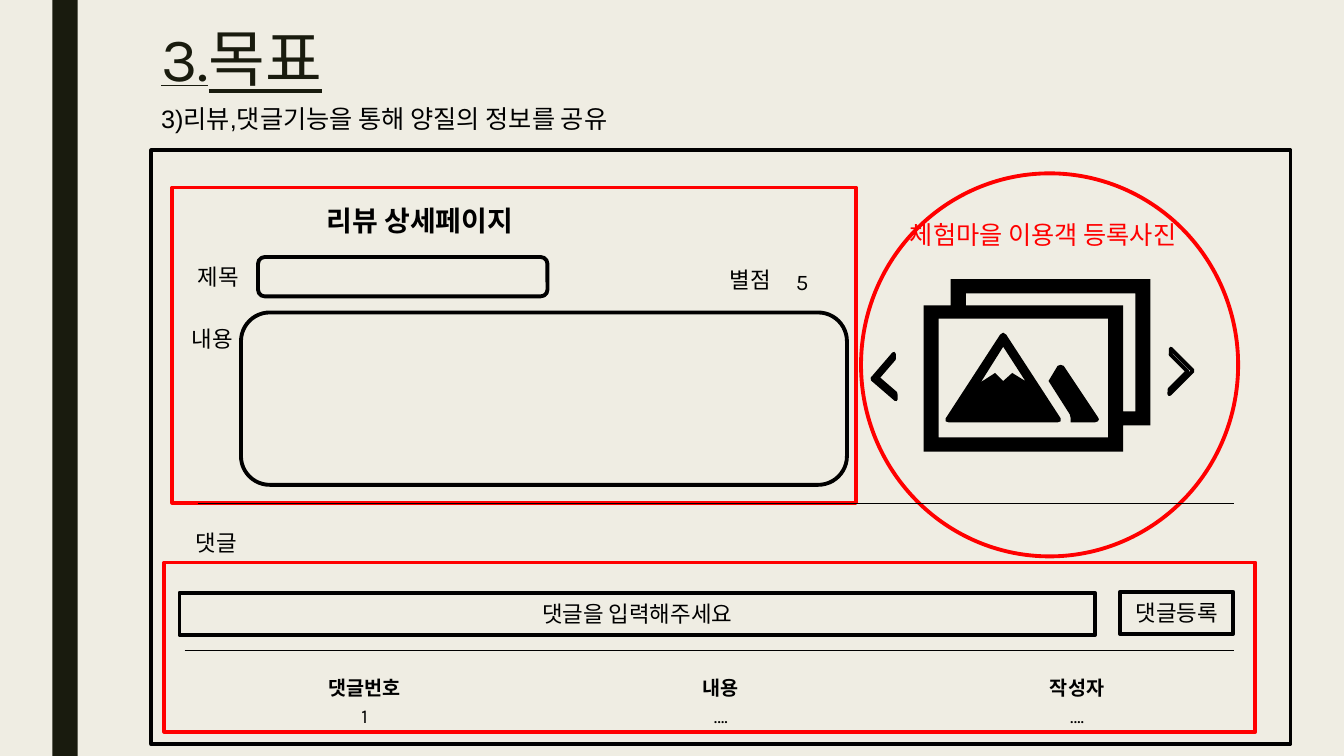
from lxml.etree import SubElement
from pptx import Presentation
from pptx.dml.color import RGBColor
from pptx.enum.shapes import MSO_CONNECTOR, MSO_SHAPE
from pptx.enum.text import MSO_ANCHOR, PP_ALIGN
from pptx.oxml.ns import qn
from pptx.util import Inches, Pt

CELL = Inches(0.01)  # the slide is a grid of 1333 columns by 750 rows
BLACK, RED, OLIVE, PAPER = "000000", "FF0000", "191B0E", "EFEDE3"
NO_GRID_STYLE = "{2D5ABB26-0587-4C30-8999-92F81FD0307C}"


def paint(target, colour):
    """Give a fill format a solid hex colour, or none at all."""
    if colour is None:
        target.background()
    else:
        target.solid()
        target.fore_color.rgb = RGBColor.from_string(colour)


def write(frame, text, size=16, font="Karla", colour=BLACK, bold=False,
          underline=False, align=PP_ALIGN.CENTER, anchor=MSO_ANCHOR.MIDDLE,
          spacing=None):
    frame.word_wrap = True
    frame.vertical_anchor = anchor
    paragraph = frame.paragraphs[0]
    paragraph.alignment = align
    paragraph.line_spacing = spacing
    run = paragraph.add_run()
    run.text = text
    run.font.size = Pt(size)
    run.font.name = font
    run.font.bold = bold
    run.font.underline = underline
    paint(run.font.fill, colour)


prs = Presentation()
prs.slide_width, prs.slide_height = 1333 * CELL, 750 * CELL
slide = prs.slides.add_slide(prs.slide_layouts[6])
shapes = slide.shapes
paint(slide.background.fill, PAPER)

# Side rail, page frames, input fields and gallery arrows
RECT, ROUND, ARROW = MSO_SHAPE.RECTANGLE, MSO_SHAPE.ROUNDED_RECTANGLE, MSO_SHAPE.HALF_FRAME
panels = [  # kind, (column, row, columns, rows), fill, outline, rotation, text
    (RECT, (52, 0, 25, 750), OLIVE, None, 0, ""),
    (RECT, (171, 186, 678, 313), None, RED, 0, ""),
    (MSO_SHAPE.OVAL, (854, 172, 374, 380), None, RED, 0, ""),
    (ROUND, (256, 255, 287, 39), None, BLACK, 0, ""),
    (ROUND, (239, 310, 601, 171), None, BLACK, 0, ""),
    (RECT, (178, 588, 908, 42), None, BLACK, 0, "댓글을 입력해주세요"),
    (RECT, (1111, 587, 112, 42), None, BLACK, 0, "댓글등록"),
    (ARROW, (871, 358, 33, 31), "0D0D0D", BLACK, 310.7, ""),
    (ARROW, (1144, 353, 33, 31), "FFFFFF", BLACK, 135.1, ""),
    (RECT, (150, 149, 1130, 589), None, BLACK, 0, ""),
    (RECT, (163, 558, 1082, 168), None, RED, 0, ""),
]
for kind, area, fill, outline, rotation, text in panels:
    panel = shapes.add_shape(kind, *(n * CELL for n in area))
    panel.shadow.inherit = False
    panel.rotation = rotation
    paint(panel.fill, fill)
    paint(panel.line.fill, outline)
    if outline:
        panel.line.width = Pt(2.75)
    if kind == ARROW:
        panel.adjustments[0], panel.adjustments[1] = 0.11, 0.14
    if text:
        write(panel.text_frame, text)

# Headings and field labels
heading = dict(align=PP_ALIGN.LEFT, anchor=MSO_ANCHOR.TOP)
labels = [
    ((150, 24, 196, 85), "3.목표",
     dict(size=44, colour=OLIVE, underline=True, spacing=0.89, **heading)),
    ((150, 98, 667, 40), "3)리뷰,댓글기능을 통해 양질의 정보를 공유",
     dict(size=18, font="Arial", **heading)),
    ((882, 196, 305, 73), "체험마을 이용객 등록사진", dict(size=18, colour=RED)),
    ((186, 186, 461, 66), "리뷰 상세페이지", dict(size=20, bold=True)),
    ((180, 248, 73, 53), "제목", {}),
    ((174, 309, 73, 53), "내용", {}),
    ((703, 251, 82, 53), "별점", {}),
    ((776, 264, 39, 30), "5", {}),
    ((178, 512, 73, 53), "댓글", {}),
]
for area, text, style in labels:
    label = shapes.add_textbox(*(n * CELL for n in area))
    write(label.text_frame, text, **style)

# Dividers
for left, row in ((196, 499), (183, 645)):
    divider = shapes.add_connector(MSO_CONNECTOR.STRAIGHT, left * CELL, row * CELL,
                                   1224 * CELL, row * CELL)
    divider.line.width = Pt(0.5)
    paint(divider.line.fill, BLACK)
    SubElement(divider._element.spPr, qn("a:effectLst"))

# Comment list
comments = [("댓글번호", "내용", "작성자"), ("1", "….", "….")]
comment_table = shapes.add_table(2, 3, 185 * CELL, 662 * CELL, 1060 * CELL, 62 * CELL).table
comment_table.first_row = comment_table.horz_banding = False
comment_table._tbl.tblPr.find(qn("a:tableStyleId")).text = NO_GRID_STYLE
for r, comment in enumerate(comments):
    for c, text in enumerate(comment):
        cell = comment_table.cell(r, c)
        paint(cell.fill, None)
        write(cell.text_frame, text, size=14, bold=r == 0, anchor=MSO_ANCHOR.TOP)

# Photo icon: each piece is a list of closed contours
small_peak = [[(1089, 414), (1055, 363), (1052, 362), (1049, 363), (1040, 378), (1061, 411),
               (1062.5, 415), (1062, 419), (1086, 419), (1089, 418), (1090, 416)]]
large_peak = [
    [(1052, 415), (998, 332), (995, 330), (992, 332), (938, 415), (937.5, 417),
     (938, 418), (941, 419), (1049, 419), (1052, 418), (1052.5, 417)],
    [(1004, 370), (995, 378), (987, 370), (973, 379), (995, 344), (1017, 378)],
]
photo_frames = [
    [(1141, 277), (943, 277), (943, 303), (916, 303), (916, 448), (1114, 448),
     (1114, 422), (1141, 422)],
    [(1099, 434), (931, 434), (931, 316), (1099, 316)],
    [(1126, 408), (1114, 408), (1114, 303), (958, 303), (958, 291), (1126, 291)],
]
for contours in (small_peak, large_peak, photo_frames):
    builder = shapes.build_freeform(*contours[0][0], scale=CELL)
    for i, contour in enumerate(contours):
        if i:
            builder.move_to(*contour[0])
        builder.add_line_segments(contour[1:], close=True)
    piece = builder.convert_to_shape()
    piece.shadow.inherit = False
    paint(piece.fill, BLACK)
    paint(piece.line.fill, None)

prs.save("out.pptx")
